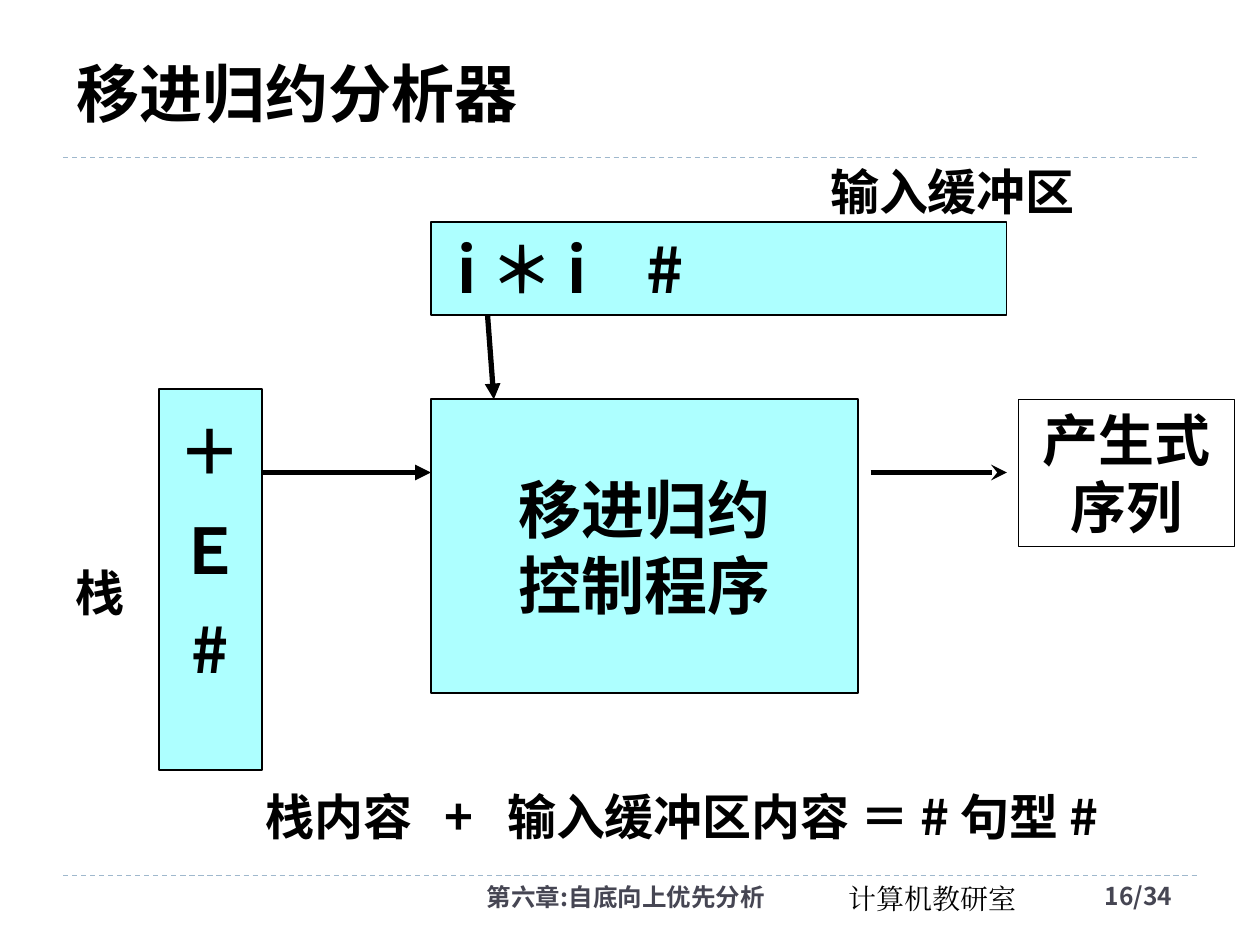
from lxml import etree
from pptx import Presentation
from pptx import util as u
from pptx.dml.color import RGBColor
from pptx.enum import dml, shapes, text
from pptx.oxml.ns import qn

COLORS = {"ink": "000000", "box": "ADFFFF", "footer": "464653", "rule": "9FB8CD"}
SANS, SERIF = "Noto Sans CJK SC", "Times New Roman"
LEFT, CENTER, RIGHT = text.PP_ALIGN.LEFT, text.PP_ALIGN.CENTER, text.PP_ALIGN.RIGHT
TOP, MIDDLE = text.MSO_ANCHOR.TOP, text.MSO_ANCHOR.MIDDLE


def color(name):
    return RGBColor.from_string(COLORS[name])


class Board:
    """Current slide and its style; all lengths are in points."""

    def __init__(self, s):
        self.s = s

    def put_text(self, sp, lines, size, font=SANS, bold=True, ink="ink", align=LEFT,
                 anchor=TOP, wrap=True, left=7.2, top=3.6, spacing=None, tabs=()):
        tf = sp.text_frame
        tf.word_wrap = wrap
        tf.vertical_anchor = anchor
        tf.margin_left, tf.margin_right = u.Pt(left), u.Pt(7.2)
        tf.margin_top, tf.margin_bottom = u.Pt(top), u.Pt(3.6)
        for i, line in enumerate(lines):
            p = tf.add_paragraph() if i else tf.paragraphs[0]
            p.alignment = align
            if spacing:
                p.line_spacing = u.Pt(spacing)
            if tabs:
                stops = etree.SubElement(p._p.get_or_add_pPr(), qn("a:tabLst"))
                for pos in tabs:
                    etree.SubElement(stops, qn("a:tab"), pos=str(u.Pt(pos)), algn="l")
            r = p.add_run()
            r.text = line
            r.font.size, r.font.bold, r.font.name = u.Pt(size), bold, font
            r.font.color.rgb = color(ink)
            # East Asian typeface
            etree.SubElement(r._r.get_or_add_rPr(), qn("a:ea"), typeface=font)

    def label(self, x, y, w, h, line, size, **style):
        sp = self.s.shapes.add_textbox(u.Pt(x), u.Pt(y), u.Pt(w), u.Pt(h))
        self.put_text(sp, [line], size, **style)

    def box(self, x, y, w, h, lines, size, fill="box", border=1, **style):
        sp = self.s.shapes.add_shape(shapes.MSO_SHAPE.RECTANGLE,
                                     u.Pt(x), u.Pt(y), u.Pt(w), u.Pt(h))
        sp.shadow.inherit = False
        if fill:
            sp.fill.solid()
            sp.fill.fore_color.rgb = color(fill)
        else:
            sp.fill.background()
        sp.line.color.rgb = color("ink")
        sp.line.width = u.Pt(border)
        self.put_text(sp, lines, size, **style)

    def line(self, x1, y1, x2, y2, ink="ink", width=3, dash=None, arrow=None):
        c = self.s.shapes.add_connector(shapes.MSO_CONNECTOR.STRAIGHT,
                                        u.Pt(x1), u.Pt(y1), u.Pt(x2), u.Pt(y2))
        c.line.color.rgb = color(ink)
        c.line.width = u.Pt(width)
        if dash:
            c.line.dash_style = dash
        sppr = c._element.spPr
        if arrow:
            etree.SubElement(sppr.find(qn("a:ln")), qn("a:tailEnd"), type=arrow)
        etree.SubElement(sppr, qn("a:effectLst"))


def main():
    prs = Presentation()
    prs.slide_width, prs.slide_height = u.Pt(720), u.Pt(540)
    b = Board(prs.slides.add_slide(prs.slide_layouts[6]))

    # Rules above the footer and below the title
    for y in (500.4, 90):
        b.line(36, y, 684, y, ink="rule", width=0.75, dash=dml.MSO_LINE.DASH)

    # Title and footer
    b.label(36.7, 31.7, 558, 41.8, "移进归约分析器", 36, anchor=MIDDLE)
    b.label(478, 500.4, 119.5, 26.6, "计算机教研室", 16, font=SERIF, bold=False)
    b.label(168.5, 500.4, 275.8, 28.8, "第六章:自底向上优先分析", 14,
            ink="footer", align=RIGHT)
    b.label(624.2, 499.7, 78.5, 28.8, "16/34", 14, ink="footer")

    # Input buffer, stack, control program and output
    b.box(246.2, 126.7, 329, 53.3, ["i ＊ i\t#"], 36, anchor=MIDDLE, left=15, tabs=[108])
    b.box(90.7, 222.5, 59, 217.4, ["＋", "Ｅ", "#"], 36, align=CENTER,
          wrap=False, top=0, spacing=56.5)
    b.box(246.2, 228.2, 244, 167.8, ["移进归约", "控制程序"], 36, align=CENTER,
          anchor=MIDDLE, wrap=False)
    b.box(581.8, 228.2, 123.8, 84.2, ["产生式序列"], 32, fill=None, border=0.75,
          align=CENTER)

    # Data flow
    b.line(278.6, 180, 282.2, 228.2, arrow="triangle")
    b.line(149.8, 270, 246.2, 270, arrow="triangle")
    b.line(497.5, 270, 575.3, 270, arrow="stealth")

    # Captions
    b.label(144.7, 445.7, 553, 41, "栈内容\t+\t输入缓冲区内容 ＝ # 句型 #", 28,
            tabs=[102, 138])
    b.label(36, 318.2, 42.5, 41, "栈", 28, wrap=False)
    b.label(467.3, 88.6, 154, 41, "输入缓冲区", 28, wrap=False)

    prs.save("out.pptx")


if __name__ == "__main__":
    main()
